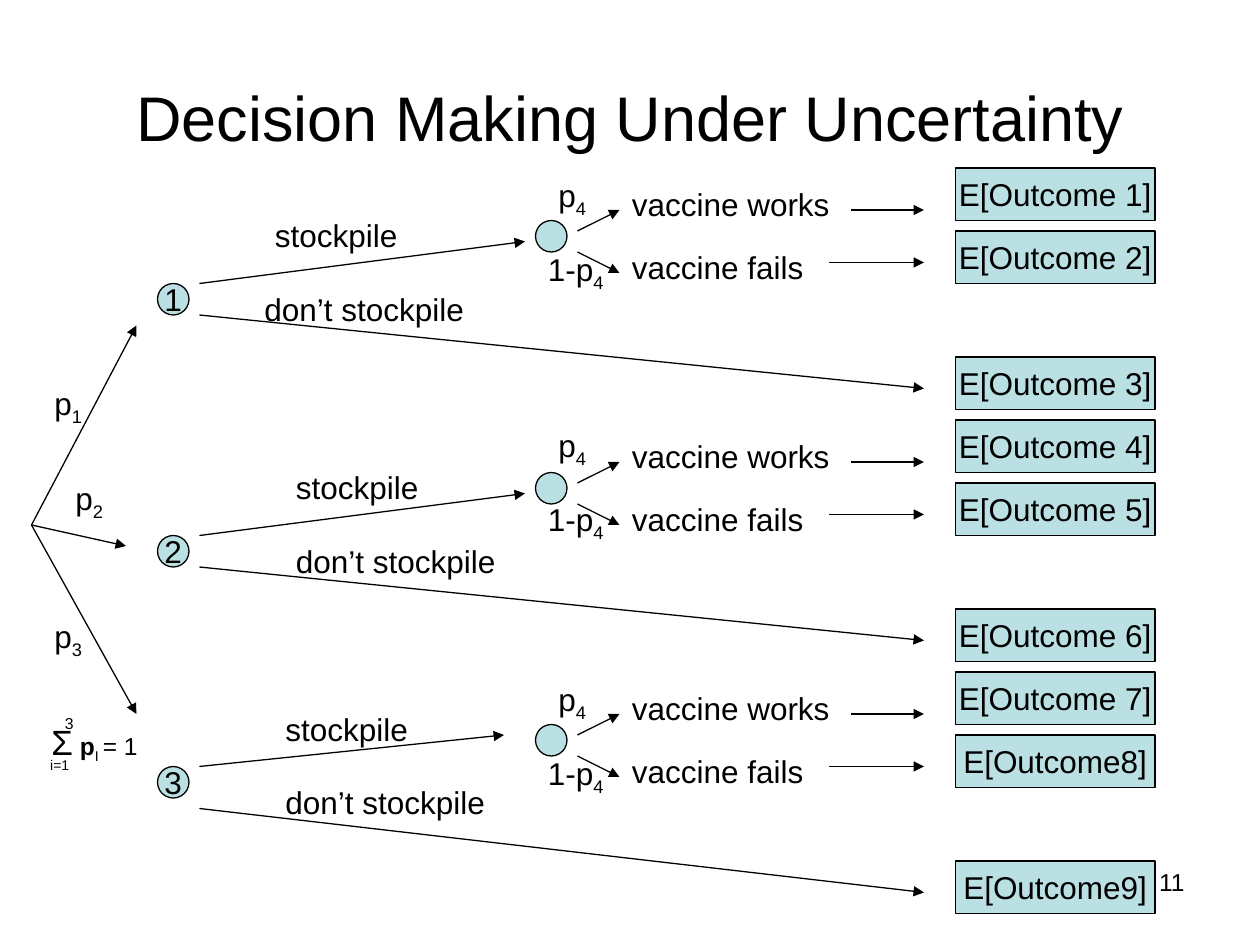
"""Build the decision tree slide on stockpiling under uncertainty."""

from dataclasses import dataclass
from typing import NamedTuple

from lxml import etree
from pptx import Presentation
from pptx.dml.color import RGBColor
from pptx.enum.shapes import MSO_CONNECTOR, MSO_SHAPE
from pptx.enum.text import MSO_ANCHOR, MSO_AUTO_SIZE, PP_ALIGN
from pptx.oxml.ns import qn
from pptx.shapes.autoshape import Shape
from pptx.slide import Slide
from pptx.text.text import TextFrame
from pptx.util import Emu, Pt

STRAIGHT = MSO_CONNECTOR.STRAIGHT
NODE, PROCESS = MSO_SHAPE.FLOWCHART_CONNECTOR, MSO_SHAPE.FLOWCHART_PROCESS
LEFT, CENTER, RIGHT = PP_ALIGN.LEFT, PP_ALIGN.CENTER, PP_ALIGN.RIGHT
TOP, MIDDLE = MSO_ANCHOR.TOP, MSO_ANCHOR.MIDDLE
GROW, FIXED = MSO_AUTO_SIZE.SHAPE_TO_FIT_TEXT, MSO_AUTO_SIZE.NONE

EMU_PER_PX = 7620
BRANCH_STEP = 240
NODE_SIZE = 30
LABEL_HEIGHT = 48
SUBSCRIPT_HEIGHT = 53


@dataclass(frozen=True)
class Theme:
    font: str = "Arial"
    ink: RGBColor = RGBColor(0x00, 0x00, 0x00)
    fill: RGBColor = RGBColor(0xBB, 0xE0, 0xE3)
    title: int = 36
    body: int = 18
    sigma: int = 20
    small: int = 14
    upper_limit: int = 9
    lower_limit: int = 8
    line: float = 0.75


THEME = Theme()


class Point(NamedTuple):
    x: int
    y: int


class Box(NamedTuple):
    left: int
    top: int
    width: int
    height: int


class Span(NamedTuple):
    text: str
    size: int = THEME.body
    subscript: bool = False
    bold: bool = False


class Chance(NamedTuple):
    number: str
    target: Point
    label: Point


class Branch(NamedTuple):
    number: str
    node_top: int
    stockpile_end: Point
    decline_start: int
    stockpile_label: Point
    decline_label: Point
    works_chance_top: int
    outcomes: tuple[str, str, str]


CHANCES = (
    Chance("1", Point(130, 310), Point(40, 360)),
    Chance("2", Point(120, 520), Point(60, 450)),
    Chance("3", Point(130, 680), Point(40, 582)),
)
BRANCHES = (
    Branch("1", 270, Point(500, 230), 300, Point(250, 200), Point(240, 270), 162,
           ("E[Outcome 1]", "E[Outcome 2]", "E[Outcome 3]")),
    Branch("2", 510, Point(500, 470), 540, Point(270, 440), Point(270, 510), 400,
           ("E[Outcome 4]", "E[Outcome 5]", "E[Outcome 6]")),
    Branch("3", 730, Point(480, 700), 770, Point(260, 670), Point(260, 740), 642,
           ("E[Outcome 7]", "E[Outcome8]", "E[Outcome9]")),
)


def px(length: int) -> Emu:
    return Emu(length * EMU_PER_PX)


def write(text_frame: TextFrame, spans: tuple[Span, ...], align: PP_ALIGN) -> None:
    paragraph = text_frame.paragraphs[0]
    paragraph.alignment = align
    for span in spans:
        run = paragraph.add_run()
        run.text = span.text
        run.font.name = THEME.font
        run.font.size = Pt(span.size)
        run.font.bold = span.bold
        run.font.color.rgb = THEME.ink
        if span.subscript:
            run.font._element.set("baseline", "-25000")


def add_label(slide: Slide, box: Box, *spans: Span, align: PP_ALIGN = LEFT,
              anchor: MSO_ANCHOR = TOP, sizing: MSO_AUTO_SIZE = GROW) -> None:
    text_frame = slide.shapes.add_textbox(*map(px, box)).text_frame
    text_frame.word_wrap = True
    text_frame.auto_size = sizing
    text_frame.vertical_anchor = anchor
    write(text_frame, spans, align)


def add_filled(slide: Slide, kind: MSO_SHAPE, box: Box, text: str = "") -> Shape:
    shape = slide.shapes.add_shape(kind, *map(px, box))
    shape.shadow.inherit = False
    shape.fill.solid()
    shape.fill.fore_color.rgb = THEME.fill
    shape.line.color.rgb = THEME.ink
    shape.line.width = Pt(THEME.line)
    if text:
        shape.text_frame.word_wrap = False
        shape.text_frame.vertical_anchor = MIDDLE
        write(shape.text_frame, (Span(text),), CENTER)
    return shape


def add_arrow(slide: Slide, start: Point, end: Point) -> None:
    connector = slide.shapes.add_connector(STRAIGHT, *map(px, (*start, *end)))
    connector.line.color.rgb = THEME.ink
    connector.line.width = Pt(THEME.line)
    etree.SubElement(connector.line._get_or_add_ln(), qn("a:tailEnd"), type="triangle")
    etree.SubElement(connector._element.spPr, qn("a:effectLst"))


def add_chance(slide: Slide, chance: Chance) -> None:
    add_arrow(slide, Point(30, 500), chance.target)
    add_label(slide, Box(*chance.label, 60, SUBSCRIPT_HEIGHT),
              Span("p"), Span(chance.number, subscript=True))


def add_branch(slide: Slide, branch: Branch, offset: int) -> None:
    add_filled(slide, NODE, Box(150, branch.node_top, NODE_SIZE, NODE_SIZE), branch.number)
    add_filled(slide, NODE, Box(510, 210 + offset, NODE_SIZE, NODE_SIZE))
    for outcome, top in zip(branch.outcomes, (160, 220, 340)):
        add_filled(slide, PROCESS, Box(910, top + offset, 190, 50), outcome)

    add_arrow(slide, Point(190, branch.node_top), branch.stockpile_end)
    add_arrow(slide, Point(190, branch.decline_start), Point(880, 370 + offset))
    for start, end in (
        (Point(550, 220), Point(590, 200)),
        (Point(550, 240), Point(590, 260)),
        (Point(810, 200), Point(880, 200)),
        (Point(790, 250), Point(880, 250)),
    ):
        add_arrow(slide, Point(start.x, start.y + offset), Point(end.x, end.y + offset))

    for text, corner, width in (
        ("stockpile", branch.stockpile_label, 160),
        ("don’t stockpile", branch.decline_label, 250),
        ("vaccine works", Point(590, 170 + offset), 230),
        ("vaccine fails", Point(590, 230 + offset), 230),
    ):
        add_label(slide, Box(*corner, width, LABEL_HEIGHT), Span(text))
    for text, left, top, width in (
        ("p", 520, branch.works_chance_top, 60),
        ("1-p", 510, branch.works_chance_top + 70, 80),
    ):
        add_label(slide, Box(left, top, width, SUBSCRIPT_HEIGHT),
                  Span(text), Span("4", subscript=True))


def add_probability_sum(slide: Slide) -> None:
    add_label(slide, Box(0, 680, 180, 54), Span("Σ", THEME.sigma), Span(" ", THEME.small),
              Span("p", THEME.small, bold=True), Span("I ", THEME.small, subscript=True),
              Span("= 1", THEME.small), align=CENTER)
    add_label(slide, Box(50, 674, 40, 30), Span("3", THEME.upper_limit))
    add_label(slide, Box(36, 715, 100, 27), Span("i=1", THEME.lower_limit))


def main() -> None:
    presentation = Presentation()
    presentation.slide_width, presentation.slide_height = px(1200), px(900)
    slide = presentation.slides.add_slide(presentation.slide_layouts[6])
    add_label(slide, Box(60, 36, 1080, 150),
              Span("Decision Making Under Uncertainty", THEME.title),
              align=CENTER, anchor=MIDDLE, sizing=FIXED)
    for chance in CHANCES:
        add_chance(slide, chance)
    for index, branch in enumerate(BRANCHES):
        add_branch(slide, branch, index * BRANCH_STEP)
    add_probability_sum(slide)
    add_label(slide, Box(860, 820, 280, 62), Span("11", THEME.small), align=RIGHT, sizing=FIXED)
    presentation.save("out.pptx")


if __name__ == "__main__":
    main()
